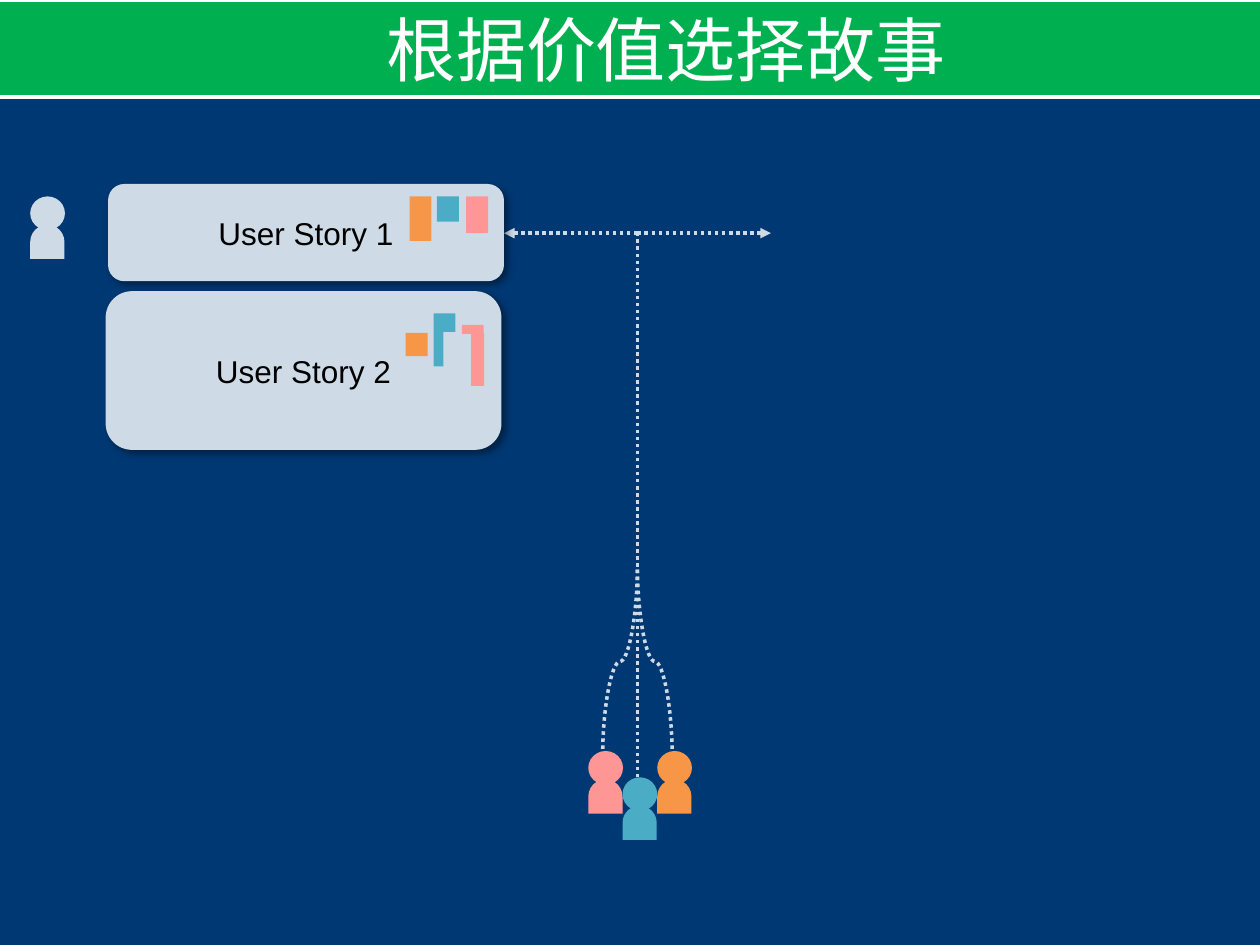
from typing import NamedTuple

import pptx
import pptx.dml.color
import pptx.enum.dml
import pptx.enum.shapes
import pptx.enum.text
import pptx.oxml
import pptx.oxml.ns
import pptx.util

Cm = pptx.util.Cm
SHAPE = pptx.enum.shapes.MSO_SHAPE
CONNECTOR = pptx.enum.shapes.MSO_CONNECTOR
NS = pptx.oxml.ns.nsdecls("a")

NAVY, PALE, GREEN = "003873", "CEDBE7", "00B050"
PINK, TEAL, ORANGE = "FF9696", "4BACC6", "F79646"
WHITE, BLACK = "FFFFFF", "000000"


# All lengths are in centimetres
class Person(NamedTuple):
    x: float
    y: float
    color: str


class Block(NamedTuple):
    x: float
    y: float
    w: float
    h: float
    color: str


class Story(NamedTuple):
    label: str
    x: float
    y: float
    h: float
    blocks: list[Block]


BLOCK_W = 0.44
STORIES = [
    Story("User Story 1", 2.18, 3.71, 1.96, [
        Block(8.26, 3.96, BLOCK_W, 0.9, ORANGE),
        Block(8.81, 3.96, BLOCK_W, 0.51, TEAL),
        Block(9.4, 3.96, BLOCK_W, 0.74, PINK),
    ]),
    Story("User Story 2", 2.13, 5.87, 3.2, [
        Block(8.18, 6.71, BLOCK_W, 0.47, ORANGE),
        Block(8.74, 6.32, BLOCK_W, 0.37, TEAL),
        Block(8.74, 6.69, 0.2, 0.7, TEAL),
        Block(9.31, 6.55, BLOCK_W, 0.18, PINK),
        Block(9.5, 6.71, 0.26, 1.07, PINK),
    ]),
]
USER = Person(0.61, 3.96, PALE)
TEAM = [Person(11.86, 15.14, PINK), Person(12.55, 15.67, TEAL),
        Person(13.25, 15.14, ORANGE)]


def rgb(color: str):
    return pptx.dml.color.RGBColor.from_string(color)


def add_shape(s, kind, x: float, y: float, w: float, h: float, color: str):
    sp = s.shapes.add_shape(kind, Cm(x), Cm(y), Cm(w), Cm(h))
    sp.shadow.inherit = False
    sp.fill.solid()
    sp.fill.fore_color.rgb = rgb(color)
    sp.line.fill.background()
    return sp


def set_text(sp, text: str, *, size: float, color: str, wrap: bool = True,
             anchor=pptx.enum.text.MSO_ANCHOR.MIDDLE) -> None:
    tf = sp.text_frame
    tf.word_wrap = wrap
    tf.vertical_anchor = anchor
    p = tf.paragraphs[0]
    p.alignment = pptx.enum.text.PP_ALIGN.CENTER
    r = p.add_run()
    r.text = text
    r.font.name = "Arial"
    r.font.size = pptx.util.Pt(size)
    r.font.color.rgb = rgb(color)


def add_shadow(sp) -> None:
    effects = sp.element.spPr.find(pptx.oxml.ns.qn("a:effectLst"))
    effects.append(pptx.oxml.parse_xml(
        f'<a:outerShdw {NS} blurRad="50800" dist="38100" dir="2700000" '
        f'algn="tl" rotWithShape="0"><a:srgbClr val="{BLACK}">'
        '<a:alpha val="40000"/></a:srgbClr></a:outerShdw>'))


def add_person(s, person: Person) -> None:
    x, y, color = person
    body = add_shape(s, SHAPE.FLOWCHART_DELAY, x, y + 0.57, 0.69, 0.69, color)
    body.rotation = 270
    add_shape(s, SHAPE.OVAL, x, y, 0.7, 0.68, color)


def add_line(s, x1: float, y1: float, x2: float, y2: float, *,
             kind=CONNECTOR.STRAIGHT, arrow: bool = False):
    cx = s.shapes.add_connector(kind, Cm(x1), Cm(y1), Cm(x2), Cm(y2))
    cx.line.color.rgb = rgb(PALE)
    cx.line.width = pptx.util.Pt(2)
    cx.line.dash_style = pptx.enum.dml.MSO_LINE.ROUND_DOT
    if arrow:
        cx.line._get_or_add_ln().append(
            pptx.oxml.parse_xml(f'<a:tailEnd {NS} type="triangle"/>'))
    cx.element.spPr.append(pptx.oxml.parse_xml(f"<a:effectLst {NS}/>"))
    return cx


def add_rising_curve(s, x1: float, y1: float, x2: float, y2: float) -> None:
    """Curve leaving and arriving vertically: a flat one turned a quarter."""
    mid_x, mid_y = (x1 + x2) / 2, (y1 + y2) / 2
    half_w, half_h = (y1 - y2) / 2, abs(x2 - x1) / 2
    side, degrees = (1, 90) if x2 > x1 else (-1, 270)
    cx = add_line(s, mid_x + side * half_w, mid_y + half_h,
                  mid_x - side * half_w, mid_y - half_h, kind=CONNECTOR.CURVE)
    xfrm = cx.element.spPr.find(pptx.oxml.ns.qn("a:xfrm"))
    xfrm.set("rot", str(degrees * 60000))


def add_story(s, story: Story) -> None:
    card = add_shape(s, SHAPE.ROUNDED_RECTANGLE, story.x, story.y, 7.98,
                     story.h, PALE)
    add_shadow(card)
    set_text(card, story.label, size=18, color=BLACK)
    for block in story.blocks:
        add_shape(s, SHAPE.RECTANGLE, *block)


def main() -> None:
    prs = pptx.Presentation()
    prs.slide_width, prs.slide_height = Cm(25.4), Cm(19.05)
    s = prs.slides.add_slide(prs.slide_layouts[6])
    s.background.fill.solid()
    s.background.fill.fore_color.rgb = rgb(NAVY)

    # User, and the team with its lines joining above it
    add_person(s, USER)
    stem_x, join_y, fork_y = 12.85, 11.43, 4.7
    add_line(s, stem_x, 15.67, stem_x, join_y)
    for start_x in (12.15, 13.55):
        add_rising_curve(s, start_x, 15.24, stem_x, join_y)
    for person in TEAM:
        add_person(s, person)

    # Shared stem and its two arrows
    add_line(s, stem_x, join_y, stem_x, fork_y)
    for end_x in (10.16, 15.54):
        add_line(s, stem_x, fork_y, end_x, fork_y, arrow=True)

    # Story cards
    for story in STORIES:
        add_story(s, story)

    # Title banner
    banner = add_shape(s, SHAPE.RECTANGLE, -0.69, 0, 26.97, 1.96, GREEN)
    banner.line.color.rgb = rgb(WHITE)
    banner.line.width = pptx.util.Pt(2)
    title = s.shapes.add_textbox(Cm(7.47), Cm(0), Cm(11.91), Cm(1.96))
    set_text(title, "根据价值选择故事", size=40, color=WHITE, wrap=False,
             anchor=pptx.enum.text.MSO_ANCHOR.TOP)

    prs.save("out.pptx")


if __name__ == "__main__":
    main()
